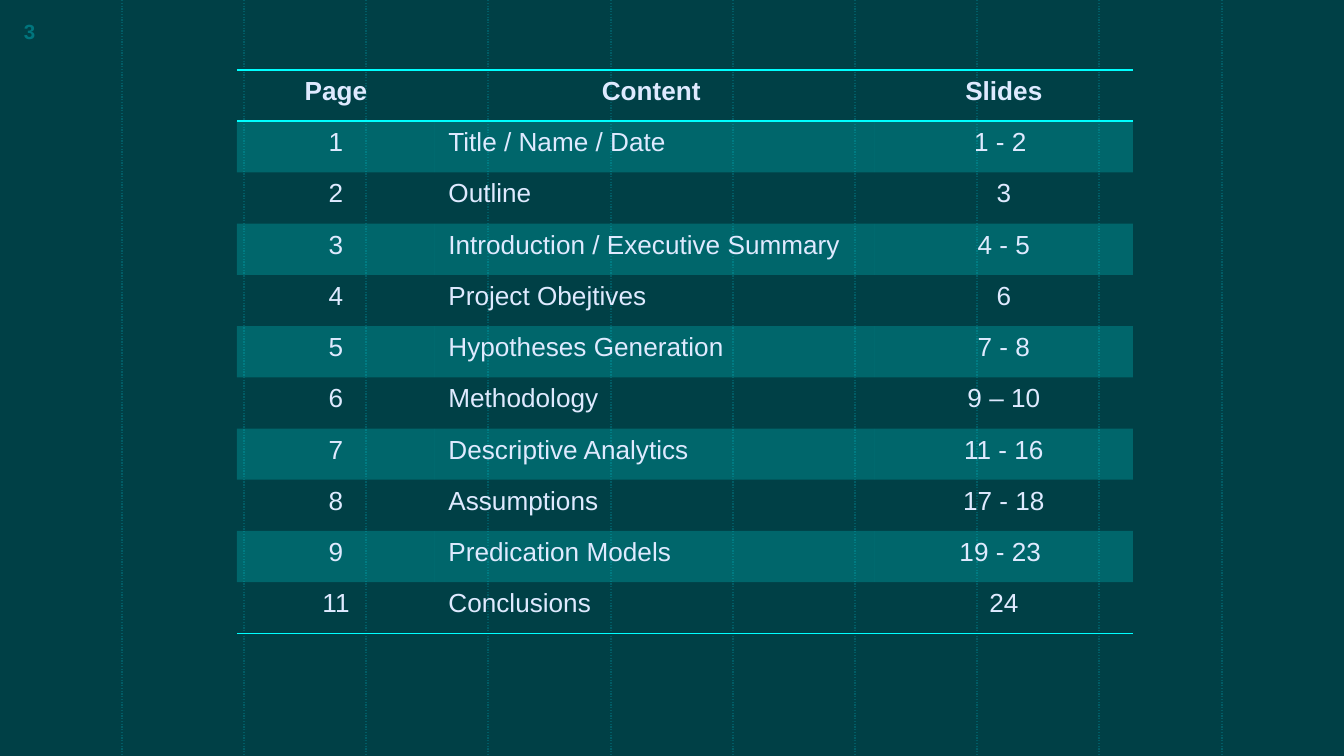
"""Build the outline slide: dotted guide lines, page number and contents table."""
from lxml.etree import SubElement
from pptx import Presentation
from pptx.dml.color import RGBColor
from pptx.enum.dml import MSO_LINE
from pptx.enum.shapes import MSO_CONNECTOR
from pptx.enum.text import PP_ALIGN
from pptx.oxml.ns import qn
from pptx.util import Pt

SCALE = 914400 / 134.4
WIDTH, HEIGHT = 1344, 756
CYAN = "00FFFF"
NO_STYLE = "{2D5ABB26-0587-4C30-8999-92F81FD0307C}"
COLUMNS = [(198, PP_ALIGN.CENTER), (440, PP_ALIGN.LEFT), (258, PP_ALIGN.CENTER)]
ROWS = [
    ("Page", "Content ", "Slides"),
    ("1", "Title / Name / Date", "1 - 2 "),
    ("2", "Outline", "3"),
    ("3", "Introduction / Executive Summary", "4 - 5"),
    ("4", "Project Obejtives", "6"),
    ("5", "Hypotheses Generation", "7 - 8"),
    ("6", "Methodology", "9 – 10"),
    ("7", "Descriptive Analytics", "11 - 16"),
    ("8", "Assumptions", "17 - 18"),
    ("9", "Predication Models", "19 - 23 "),
    ("11", "Conclusions", "24"),
]


def px(length):
    return round(length * SCALE)


def paint(color_format, hex_color):
    color_format.rgb = RGBColor.from_string(hex_color)


deck = Presentation()
deck.slide_width, deck.slide_height = px(WIDTH), px(HEIGHT)
page = deck.slides.add_slide(deck.slide_layouts[6])
page.background.fill.solid()
paint(page.background.fill.fore_color, "004046")

for number in range(1, 11):
    left = px(number * 1222 // 10)
    guide = page.shapes.add_connector(MSO_CONNECTOR.STRAIGHT, left, 0, left, px(HEIGHT))
    for name, value in {"width": Pt(0.75), "dash_style": MSO_LINE.ROUND_DOT}.items():
        setattr(guide.line, name, value)
    paint(guide.line.color, "005C65")
    SubElement(guide._element.spPr, qn("a:effectLst"))

box = page.shapes.add_textbox(px(10), px(12), px(60), px(40))
for name, value in {"word_wrap": True, "margin_left": px(14), "margin_top": px(7)}.items():
    setattr(box.text_frame, name, value)
span = box.text_frame.paragraphs[0].add_run()
span.text = "3"
for name, value in {"name": "Arial", "size": Pt(11), "bold": True}.items():
    setattr(span.font, name, value)
paint(span.font.color, "00757D")

table_width = sum(width for width, align in COLUMNS)
frame = page.shapes.add_table(len(ROWS), len(COLUMNS), px(237), px(70), px(table_width), px(564))
table = frame.table
table._tbl.tblPr.find(qn("a:tableStyleId")).text = NO_STYLE
for name in ("first_row", "horz_banding"):
    setattr(table, name, False)
for column, (width, align) in zip(table.columns, COLUMNS):
    column.width = px(width)

for row_index, texts in enumerate(ROWS):
    table.rows[row_index].height = px(564) // len(ROWS)
    is_header = row_index == 0
    edges = {0: ("a:lnT", "a:lnB"), len(ROWS) - 1: ("a:lnB",)}.get(row_index, ())
    for column_index, text in enumerate(texts):
        cell = table.cell(row_index, column_index)
        cell_format = cell._tc.get_or_add_tcPr()
        for edge in edges:
            border = SubElement(cell_format, qn(edge), w=str(Pt(1)))
            border_fill = SubElement(border, qn("a:solidFill"))
            SubElement(border_fill, qn("a:srgbClr"), val=CYAN)
        if row_index % 2:
            cell.fill.solid()
            paint(cell.fill.fore_color, CYAN)
            band = cell_format.find(".//" + qn("a:srgbClr"))
            SubElement(band, qn("a:alpha"), val="20000")
        else:
            cell.fill.background()
        para = cell.text_frame.paragraphs[0]
        para.alignment = PP_ALIGN.CENTER if is_header else COLUMNS[column_index][1]
        span = para.add_run()
        span.text = text
        for name, value in {"name": "Arial", "size": Pt(14), "bold": is_header}.items():
            setattr(span.font, name, value)
        paint(span.font.color, "DFEAFF")

deck.save("out.pptx")
